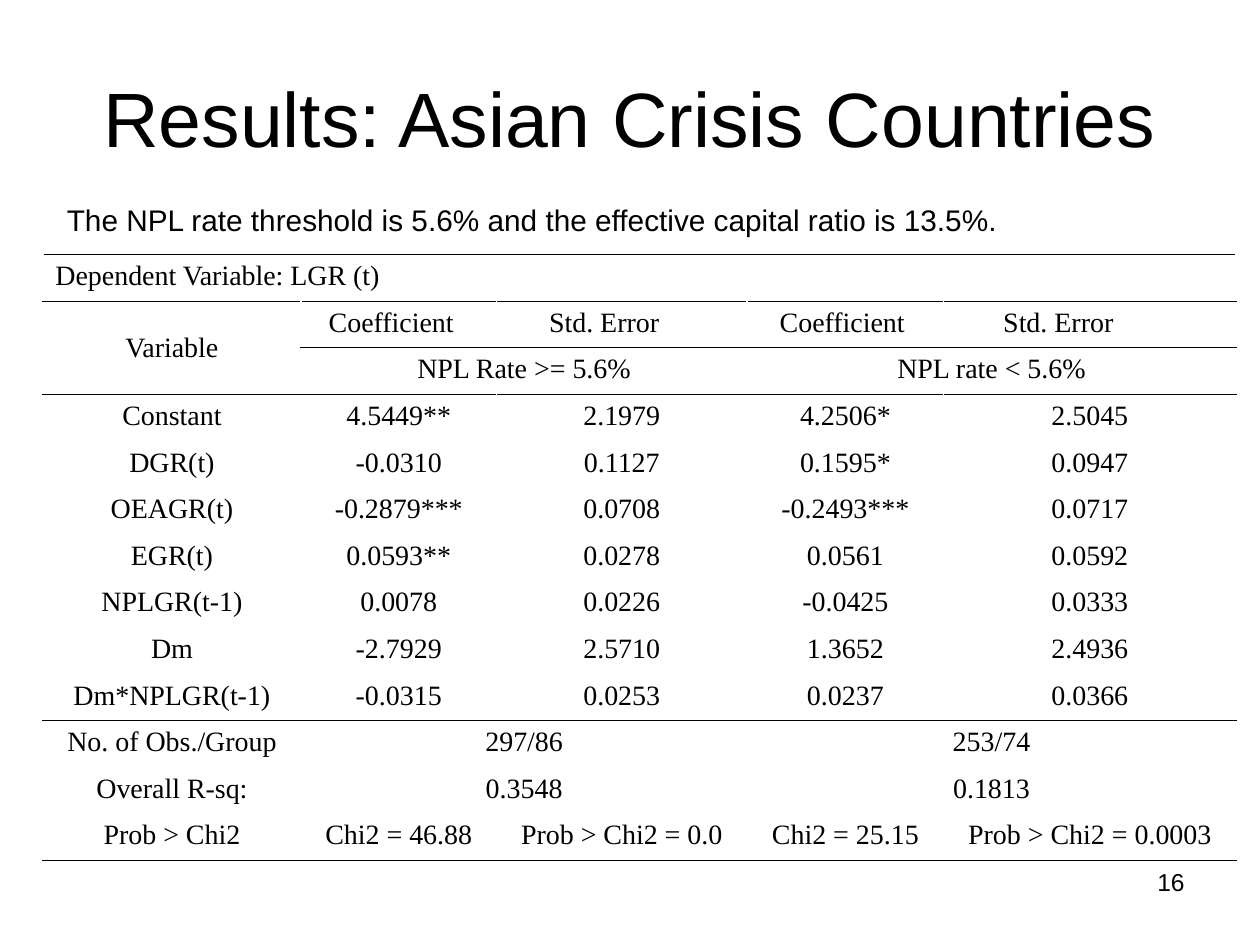
from lxml import etree
from pptx import Presentation
from pptx import util as u
from pptx.dml.color import RGBColor
from pptx.enum import text
from pptx.oxml.ns import qn

BLACK = RGBColor(0, 0, 0)
SANS, SERIF = "Arial", "Times New Roman"

TITLE = "Results: Asian Crisis Countries"
THRESHOLD_NOTE = "The NPL rate threshold is 5.6% and the effective capital ratio is 13.5%."
PAGE_NUMBER = "16"

# None continues the merged cell to the left or above
ROWS = [
    ("Dependent Variable: LGR (t)", None, None, None, None),
    ("Variable", "Coefficient", "Std. Error", "Coefficient", "Std. Error"),
    (None, "NPL Rate >= 5.6%", None, "NPL rate < 5.6%", None),
    ("Constant", "4.5449**", "2.1979", "4.2506*", "2.5045"),
    ("DGR(t)", "-0.0310", "0.1127", "0.1595*", "0.0947"),
    ("OEAGR(t)", "-0.2879***", "0.0708", "-0.2493***", "0.0717"),
    ("EGR(t)", "0.0593**", "0.0278", "0.0561", "0.0592"),
    ("NPLGR(t-1)", "0.0078", "0.0226", "-0.0425", "0.0333"),
    ("Dm", "-2.7929", "2.5710", "1.3652", "2.4936"),
    ("Dm*NPLGR(t-1)", "-0.0315", "0.0253", "0.0237", "0.0366"),
    ("No. of Obs./Group", "297/86", None, "253/74", None),
    ("Overall R-sq:", "0.3548", None, "0.1813", None),
    ("Prob > Chi2", "Chi2 = 46.88", "Prob > Chi2 = 0.0", "Chi2 = 25.15",
     "Prob > Chi2 = 0.0003"),
]
COLUMN_WIDTHS = [2.05, 1.55, 1.99, 1.56, 2.32]
ROW_HEIGHT = 0.37
# Merged areas: first row, first column, last row, last column
MERGES = [(0, 0, 0, 4), (1, 0, 2, 0)]
MERGES += [(row, column, row, column + 1) for row in (2, 10, 11) for column in (1, 3)]
# Horizontal rules: row edge -> (points, first column)
THICK, THIN = 0.96, 0.45
RULES = {0: (THICK, 0), 1: (THIN, 0), 2: (THIN, 1), 3: (THICK, 0),
         10: (THICK, 0), 13: (THIN, 0)}
# Extra right margin that moves the column headings left of centre
HEADING_SHIFT = [0, 0.12, 0.28, 0.05, 0.5]


def place(shape, left, top, width, height):
    shape.left, shape.top = u.Inches(left), u.Inches(top)
    shape.width, shape.height = u.Inches(width), u.Inches(height)


def write(frame, words, size, font, alignment):
    frame.text = words
    paragraph = frame.paragraphs[0]
    paragraph.alignment = alignment
    paragraph.font.size, paragraph.font.name = u.Pt(size), font
    paragraph.font.color.rgb = BLACK
    return paragraph


def add_rules(cell, row, column):
    """Draw the rules on the top and bottom edge of a cell."""
    properties = cell._tc.get_or_add_tcPr()
    position = 0
    for tag, edge in (("a:lnT", row), ("a:lnB", row + 1)):
        points, first_column = RULES.get(edge, (0, len(COLUMN_WIDTHS)))
        if column < first_column:
            continue
        line = etree.Element(qn(tag), w=str(int(u.Pt(points))))
        fill = etree.SubElement(line, qn("a:solidFill"))
        etree.SubElement(fill, qn("a:srgbClr"), val=str(BLACK))
        properties.insert(position, line)
        position += 1


def add_results_table(slide):
    frame = slide.shapes.add_table(
        len(ROWS), len(COLUMN_WIDTHS), u.Inches(0.34), u.Inches(2.02),
        u.Inches(sum(COLUMN_WIDTHS)), u.Inches(ROW_HEIGHT * len(ROWS)))
    table = frame.table
    table.first_row = table.horz_banding = False
    for column, width in zip(table.columns, COLUMN_WIDTHS):
        column.width = u.Inches(width)
    for row in table.rows:
        row.height = u.Inches(ROW_HEIGHT)
    for top, left, bottom, right in MERGES:
        table.cell(top, left).merge(table.cell(bottom, right))

    for r, values in enumerate(ROWS):
        for c, value in enumerate(values):
            cell = table.cell(r, c)
            cell.fill.background()
            add_rules(cell, r, c)
            if value is None:
                continue
            alignment = text.PP_ALIGN.CENTER if r else text.PP_ALIGN.LEFT
            write(cell.text_frame, value, 16, SERIF, alignment)
            if r == 1:
                cell.margin_right = u.Inches(0.1 + HEADING_SHIFT[c])
    table.cell(1, 0).vertical_anchor = text.MSO_ANCHOR.MIDDLE


def main():
    presentation = Presentation()
    presentation.slide_width, presentation.slide_height = u.Inches(10), u.Inches(7.5)
    slide = presentation.slides.add_slide(presentation.slide_layouts[1])

    # Title
    title = slide.shapes.title
    place(title, 0.5, 0.3, 9, 1.25)
    write(title.text_frame, TITLE, 44, SANS, text.PP_ALIGN.CENTER)
    title.text_frame.auto_size = text.MSO_AUTO_SIZE.NONE

    # Threshold note, without a bullet
    body = slide.placeholders[1]
    place(body, 0.43, 1.55, 9.14, 0.39)
    note = write(body.text_frame, THRESHOLD_NOTE, 17, SANS, text.PP_ALIGN.LEFT)
    body.text_frame.auto_size = text.MSO_AUTO_SIZE.NONE
    note.space_before = u.Pt(0)
    properties = note._p.get_or_add_pPr()
    properties.set("marL", "0")
    properties.set("indent", "0")
    bullet = etree.Element(qn("a:buNone"))
    properties.find(qn("a:spcBef")).addnext(bullet)

    add_results_table(slide)

    # Page number
    number = slide.shapes.add_textbox(
        u.Inches(7.17), u.Inches(6.83), u.Inches(2.33), u.Inches(0.52))
    number.text_frame.word_wrap = True
    write(number.text_frame, PAGE_NUMBER, 14, SANS, text.PP_ALIGN.RIGHT)

    presentation.save("out.pptx")


if __name__ == "__main__":
    main()
